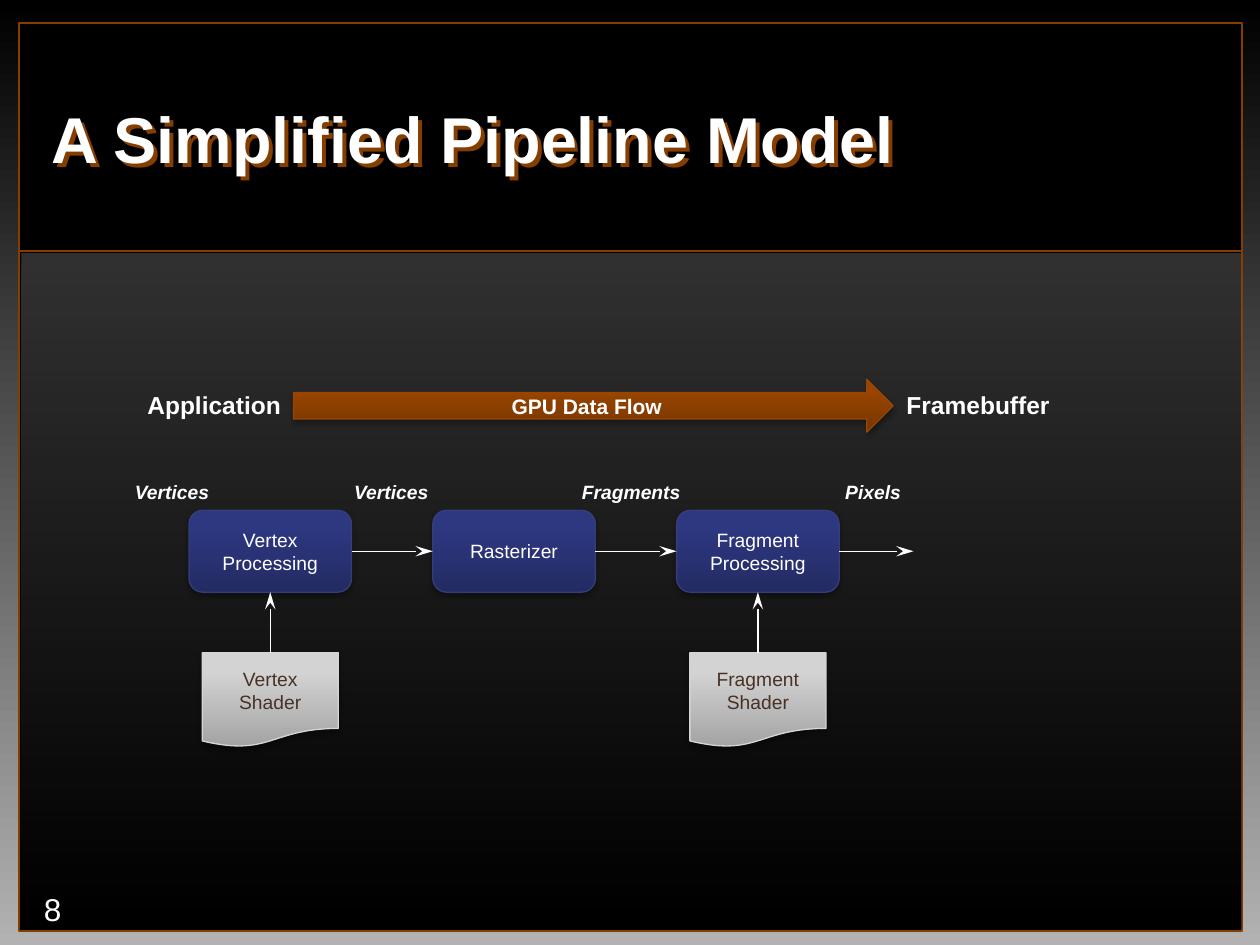
from copy import deepcopy

from pptx import Presentation
from pptx.dml.color import RGBColor
from pptx.enum.shapes import MSO_CONNECTOR, MSO_SHAPE
from pptx.enum.text import MSO_ANCHOR, MSO_AUTO_SIZE, PP_ALIGN
from pptx.oxml.ns import qn
from pptx.oxml.xmlchemy import OxmlElement
from pptx.util import Inches, Pt

TITLE = "A Simplified Pipeline Model"
PAGE_NUMBER = "8"
STAGES = ["Vertex\vProcessing", "Rasterizer", "Fragment Processing"]
SHADERS = {0: "Vertex\nShader", 2: "Fragment\nShader"}  # by stage
FLOW = "GPU Data Flow"
ENDPOINTS = [("Application", 1.06, 1.27), ("Framebuffer", 7.09, 1.34)]  # left, width
STREAMS = [  # right edge, width
    ("Vertices", 1.76, 0.8),
    ("Vertices", 3.5, 0.8),
    ("Fragments", 5.5, 0.99),
    ("Pixels", 7.25, 0.65),
]

THEME = {
    "font": "Arial",
    "text": "FFFFFF",
    "shader_text": "483225",
    "frame": "863D00",
    "black": "000000",
    "background": [(0, "000000"), (100, "B2B2B2")],
    "panel": [(0, "7E7E7E"), (100, "000000")],
    "stage": ([(0, "232B63"), (80, "2E3881"), (100, "2C3783")], "363E7A"),
    "shader": ([(0, "A3A3A3"), (80, "D3D3D3"), (100, "D4D4D4")], "D5D5D5"),
    "flow": ([(0, "763500"), (80, "994500"), (100, "9A4500")], "9B4500"),
    "title_size": 37,
    "page_size": 18,
    "endpoint_size": 14,
    "flow_size": 12,
    "label_size": 11,
}

FRAME_LEFT, FRAME_TOP, FRAME_WIDTH, FRAME_HEIGHT = 0.15, 0.18, 9.71, 7.21
DIVIDER_Y = 1.99
STAGE_LEFT, STAGE_TOP, STAGE_WIDTH, STAGE_HEIGHT = 1.5, 4.05, 1.29, 0.65
STAGE_PITCH = (5.37 - STAGE_LEFT) / 2
SHADER_TOP, SHADER_WIDTH, SHADER_HEIGHT = 5.18, 1.08, 0.75
OUTPUT_X = 7.25


def color(name):
    return RGBColor.from_string(name)


def add_child(parent, tag, **attributes):
    child = OxmlElement(tag)
    for name, value in attributes.items():
        child.set(name, str(value))
    parent.append(child)
    return child


def set_gradient(fill, element, stops, angle, opacity=100):
    """Fill with any number of stops; the angle runs clockwise."""
    fill.gradient()
    fill.gradient_angle = -angle % 360
    stop_list = next(element.iter(qn("a:gsLst")))
    while len(stop_list) < len(stops):
        stop_list.append(deepcopy(stop_list[-1]))
    for stop, (position, name) in zip(fill.gradient_stops, stops):
        stop.position = position / 100
        stop.color.rgb = color(name)
    if opacity < 100:
        for rgb in stop_list.iter(qn("a:srgbClr")):
            add_child(rgb, "a:alpha", val=opacity * 1000)


def set_shadow(shape, name, opacity, blur, distance, angle):
    shape.shadow.inherit = False
    effects = next(shape._element.iter(qn("a:effectLst")))
    outer = add_child(effects, "a:outerShdw", blurRad=Pt(blur), dist=Pt(distance),
                      dir=angle * 60000, algn="ctr", rotWithShape=0)
    rgb = add_child(outer, "a:srgbClr", val=name)
    add_child(rgb, "a:alpha", val=opacity * 1000)


def write(shape, text, size, align, name=THEME["text"], bold=False, italic=False):
    frame = shape.text_frame
    frame.text = text
    for paragraph in frame.paragraphs:
        paragraph.alignment = align
        font = paragraph.font
        font.name, font.size = THEME["font"], Pt(size)
        font.bold, font.italic = bold, italic
        font.color.rgb = color(name)
    return frame


def add_label(slide, text, box, size, align=PP_ALIGN.RIGHT, **style):
    label = slide.shapes.add_textbox(*map(Inches, box))
    frame = write(label, text, size, align, **style)
    frame.word_wrap = False
    return frame


def add_block(slide, kind, box, look, text, size, **style):
    """Add a glossy shape with centred text."""
    shape = slide.shapes.add_shape(kind, *map(Inches, box))
    stops, outline = THEME[look]
    set_gradient(shape.fill, shape._element, stops, 270)
    shape.line.color.rgb = color(outline)
    shape.line.width = Pt(0.75)
    set_shadow(shape, THEME["black"], 35, 3.1, 1.8, 90)
    frame = write(shape, text, size, PP_ALIGN.CENTER, **style)
    frame.word_wrap = True
    frame.vertical_anchor = MSO_ANCHOR.MIDDLE


def add_line(slide, start, end, name, width, arrow=False):
    line = slide.shapes.add_connector(MSO_CONNECTOR.STRAIGHT, *map(Inches, start + end))
    line.line.color.rgb = color(name)
    line.line.width = Pt(width)
    if arrow:
        add_child(line.line._get_or_add_ln(), "a:tailEnd", type="stealth", w="med", len="lg")
    add_child(line._element.spPr, "a:effectLst")


def add_frame(slide):
    set_gradient(slide.background.fill, slide._element, THEME["background"], 90)
    border = slide.shapes.add_shape(
        MSO_SHAPE.RECTANGLE,
        *map(Inches, (FRAME_LEFT, FRAME_TOP, FRAME_WIDTH, FRAME_HEIGHT)))
    border.fill.solid()
    border.fill.fore_color.rgb = color(THEME["black"])
    border.line.color.rgb = color(THEME["frame"])
    border.line.width = Pt(1.25)
    border.shadow.inherit = False
    panel = slide.shapes.add_shape(
        MSO_SHAPE.RECTANGLE, *map(Inches, (0.17, 2.01, 9.68, 5.36)))
    set_gradient(panel.fill, panel._element, THEME["panel"], 90, opacity=38)
    panel.line.fill.background()
    panel.shadow.inherit = False
    add_line(slide, (FRAME_LEFT, DIVIDER_Y), (FRAME_LEFT + FRAME_WIDTH, DIVIDER_Y),
             THEME["frame"], 1)


def add_heading(slide):
    page = add_label(slide, PAGE_NUMBER, (0.25, 7.1, 0.24, 0.23), THEME["page_size"],
                     PP_ALIGN.LEFT)
    page.vertical_anchor = MSO_ANCHOR.MIDDLE
    page.margin_right = page.margin_top = page.margin_bottom = 0
    title = slide.shapes.title
    slide.shapes._spTree.append(title._element)  # in front of the frame
    title.left, title.top, title.width, title.height = map(Inches, (0.31, 0.32, 8.13, 1.51))
    frame = write(title, TITLE, THEME["title_size"], PP_ALIGN.LEFT, bold=True)
    frame.vertical_anchor = MSO_ANCHOR.MIDDLE
    frame.auto_size = MSO_AUTO_SIZE.NONE
    frame.paragraphs[0].line_spacing = 1.05
    set_shadow(title, THEME["frame"], 100, 0, 3.2, 45)


def add_pipeline(slide):
    size = THEME["label_size"]
    lefts = [STAGE_LEFT + index * STAGE_PITCH for index in range(len(STAGES))]
    middle = STAGE_TOP + STAGE_HEIGHT / 2
    for left, text in zip(lefts, STAGES):
        add_block(slide, MSO_SHAPE.ROUNDED_RECTANGLE,
                  (left, STAGE_TOP, STAGE_WIDTH, STAGE_HEIGHT), "stage", text, size)
    for left, target in zip(lefts, lefts[1:] + [OUTPUT_X]):
        add_line(slide, (left + STAGE_WIDTH, middle), (target, middle),
                 THEME["text"], 0.75, arrow=True)
    for index, text in SHADERS.items():
        center = lefts[index] + STAGE_WIDTH / 2
        add_block(slide, MSO_SHAPE.FLOWCHART_DOCUMENT,
                  (center - SHADER_WIDTH / 2, SHADER_TOP, SHADER_WIDTH, SHADER_HEIGHT),
                  "shader", text, size, name=THEME["shader_text"])
        add_line(slide, (center, SHADER_TOP), (center, STAGE_TOP + STAGE_HEIGHT),
                 THEME["text"], 0.75, arrow=True)
    add_block(slide, MSO_SHAPE.RIGHT_ARROW, (2.33, 3.01, 4.76, 0.42), "flow", FLOW,
              THEME["flow_size"], bold=True)
    for text, left, width in ENDPOINTS:
        add_label(slide, text, (left, 3.05, width, 0.34), THEME["endpoint_size"], bold=True)
    for text, right, width in STREAMS:
        add_label(slide, text, (right - width, 3.76, width, 0.29), size,
                  bold=True, italic=True)


def main():
    presentation = Presentation()
    presentation.slide_width, presentation.slide_height = Inches(10), Inches(7.5)
    slide = presentation.slides.add_slide(presentation.slide_layouts[5])
    add_frame(slide)
    add_heading(slide)
    add_pipeline(slide)
    presentation.save("out.pptx")


if __name__ == "__main__":
    main()
